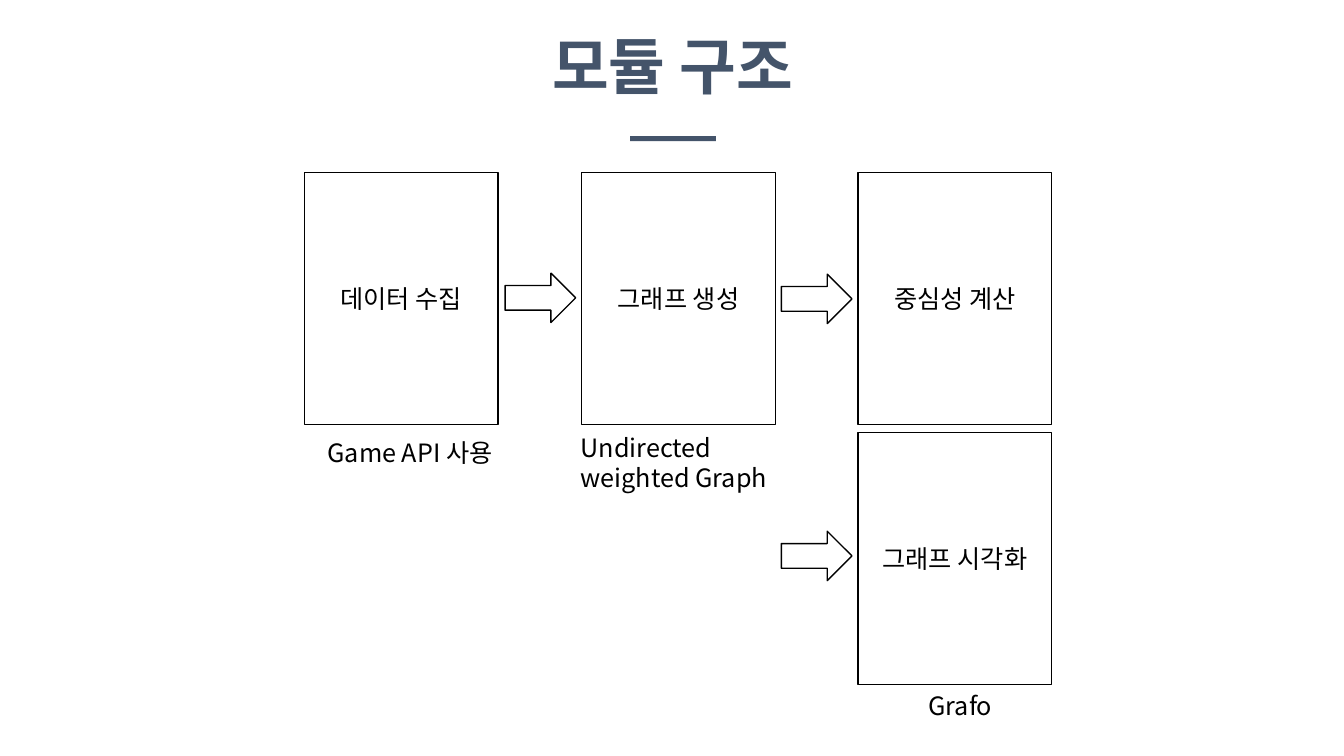
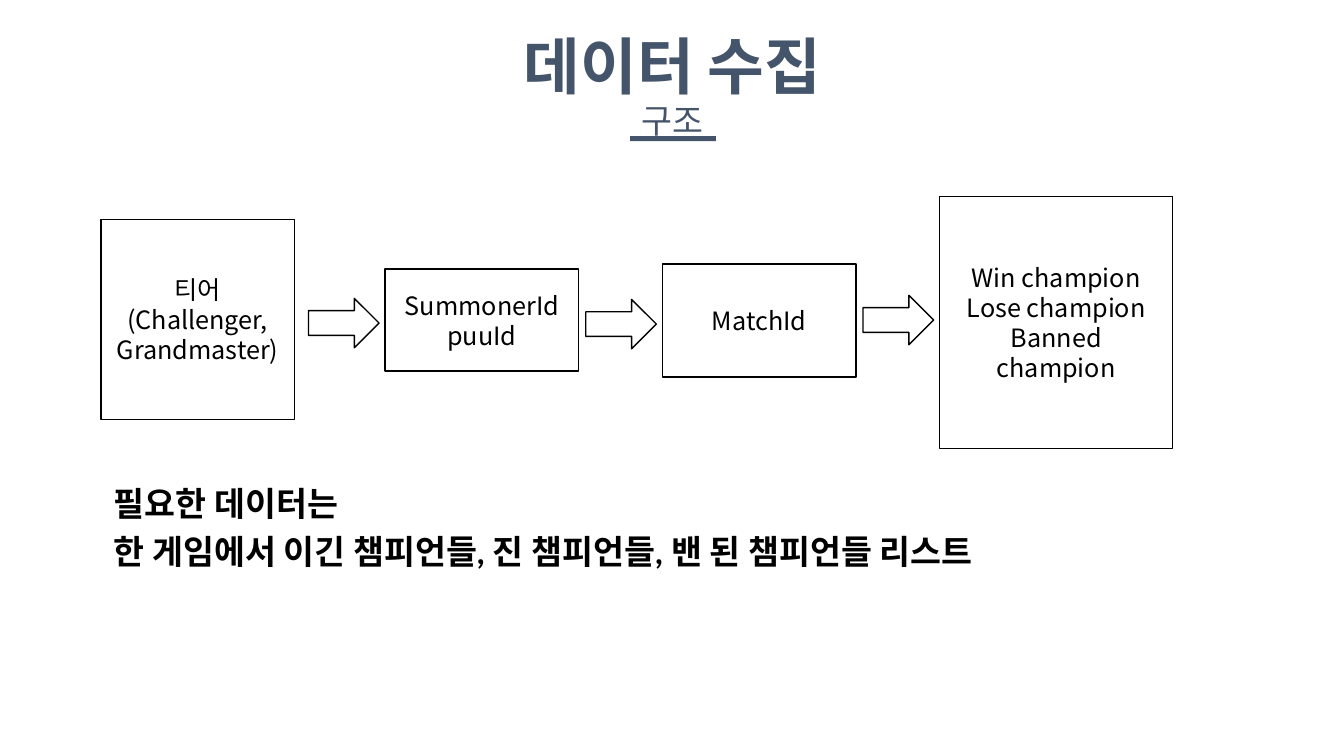
from lxml import etree
from pptx import Presentation
from pptx.dml.color import RGBColor
from pptx.enum.shapes import MSO_SHAPE as SHAPE
from pptx.enum.text import MSO_ANCHOR as ANCHOR, MSO_AUTO_SIZE as AUTO, PP_ALIGN as ALIGN
from pptx.oxml.ns import qn
from pptx.util import Emu, Pt

# Shared style: 100 px to the inch
SCALE = 9144
COLORS = {"navy": "44546A", "black": "000000", "white": "FFFFFF"}
HEAD_FONT, BODY_FONT = "Lato", "Noto Sans CJK KR"
BOX_W, BOX_H = 192, 250
ARROW_W, ARROW_H, ARROW_LEAD = 70, 49, 76


def px(n):
    return Emu(n * SCALE)


def rgb(name):
    return RGBColor.from_string(COLORS[name])


def write(tf, lines, size=18, font=BODY_FONT, color="black", bold=False,
          align=ALIGN.LEFT, anchor=ANCHOR.TOP, spacing=None, before=None, insets=None):
    tf.word_wrap = True
    tf.auto_size = AUTO.NONE
    tf.vertical_anchor = anchor
    if insets:
        tf.margin_left, tf.margin_top, tf.margin_right, tf.margin_bottom = map(px, insets)
    for i, line in enumerate(lines):
        p = tf.add_paragraph() if i else tf.paragraphs[0]
        p.alignment, p.line_spacing, p.space_before = align, spacing, before
        r = p.add_run()
        r.text = line
        r.font.size, r.font.name, r.font.bold = Pt(size), font, bold
        r.font.color.rgb = rgb(color)
        # Korean glyphs take the East Asian font
        ea = etree.SubElement(r.font._element, qn("a:ea"))
        ea.set("typeface", BODY_FONT)


def add_shape(s, kind, x, y, w, h, fill=None, line=None):
    sp = s.shapes.add_shape(kind, px(x), px(y), px(w), px(h))
    sp.shadow.inherit = False
    if fill:
        sp.fill.solid()
        sp.fill.fore_color.rgb = rgb(fill)
    else:
        sp.fill.background()
    if line:
        sp.line.color.rgb = rgb(line)
        sp.line.width = Pt(1)
    else:
        sp.line.fill.background()
    return sp


def add_text(s, x, y, w, h, lines, **style):
    sp = s.shapes.add_textbox(px(x), px(y), px(w), px(h))
    write(sp.text_frame, lines, **style)


def add_box(s, x, y, lines, w=BOX_W, h=BOX_H):
    sp = add_shape(s, SHAPE.RECTANGLE, x, y, w, h, "white", "black")
    write(sp.text_frame, lines, align=ALIGN.CENTER, anchor=ANCHOR.MIDDLE)


def add_arrow(s, target_x, y):
    """Arrow leading to the box whose left edge is target_x."""
    add_shape(s, SHAPE.RIGHT_ARROW, target_x - ARROW_LEAD, y, ARROW_W, ARROW_H, line="black")


def add_slide(prs, title):
    s = prs.slides.add_slide(prs.slide_layouts[5])
    sp = s.shapes.title
    sp.left, sp.top, sp.width, sp.height = px(329), px(26), px(676), px(79)
    write(sp.text_frame, [title], size=44, font=HEAD_FONT, color="navy", bold=True,
          align=ALIGN.CENTER, insets=(5, 2, 5, 2))
    add_shape(s, SHAPE.RECTANGLE, 625, 135, 85, 5, "navy")
    return s


def module_slide(prs):
    s = add_slide(prs, "모듈 구조")
    # Modules
    collect_x, graph_x, result_x = 302, 577, 851
    top, lower = 171, 429
    for x, y, label in ((collect_x, top, "데이터 수집"), (graph_x, top, "그래프 생성"),
                        (result_x, top, "중심성 계산"), (result_x, lower, "그래프 시각화")):
        add_box(s, x, y, [label])
    for x, y in ((graph_x, 271), (result_x, 272), (result_x, 527)):
        add_arrow(s, x, y)
    # Captions
    for x, y, h, lines in ((315, 429, 40, ["Game API 사용"]),
                           (566, 424, 71, ["Undirected", "weighted Graph"]),
                           (911, 680, 40, ["Grafo"])):
        add_text(s, x, y, 220, h, lines)


def collection_slide(prs):
    s = add_slide(prs, "데이터 수집")
    add_text(s, 29, 79, 1275, 92, ["구조"], size=24, font=HEAD_FONT, color="navy",
             align=ALIGN.CENTER, spacing=1.2, before=Pt(5), insets=(24, 12, 24, 12))
    # Collection steps: x, y, width, height, lines, top of the arrow leading in
    steps = (
        (100, 218, BOX_W, 198, ["티어", "(Challenger,", "Grandmaster)"], None),
        (382, 267, BOX_W, 101, ["SummonerId", "puuId"], 296),
        (657, 262, BOX_W, 112, ["MatchId"], 297),
        (932, 195, 231, BOX_H, ["Win champion", "Lose champion", "Banned champion"], 293),
    )
    for x, y, w, h, lines, arrow_y in steps:
        add_box(s, x, y, lines, w, h)
        if arrow_y:
            add_arrow(s, x, arrow_y)
    # Required data
    add_text(s, 100, 464, 1129, 150,
             ["필요한 데이터는", "한 게임에서 이긴 챔피언들, 진 챔피언들, 밴 된 챔피언들 리스트"],
             size=24, font=HEAD_FONT, bold=True, align=ALIGN.JUSTIFY, spacing=1.2,
             insets=(13, 7, 21, 5))


def main():
    prs = Presentation()
    prs.slide_width, prs.slide_height = px(1333), px(750)
    module_slide(prs)
    collection_slide(prs)
    prs.save("out.pptx")


if __name__ == "__main__":
    main()
